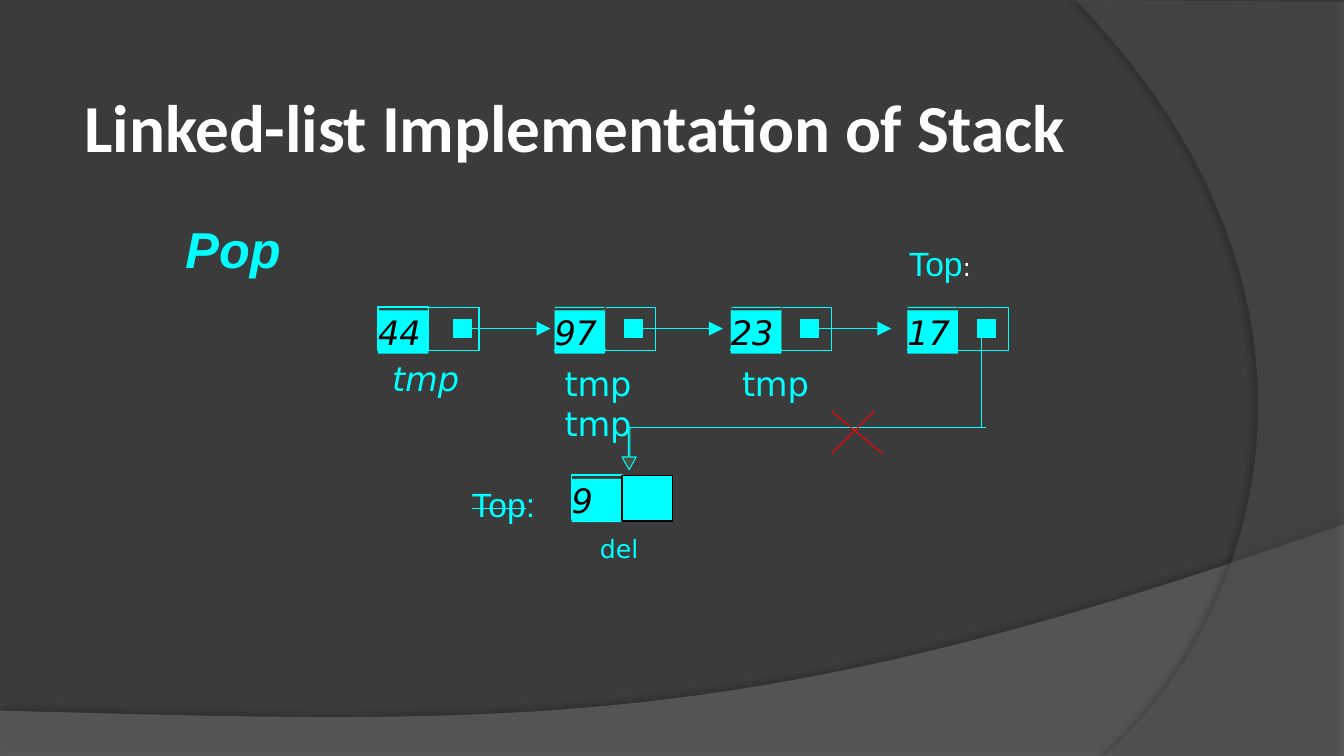
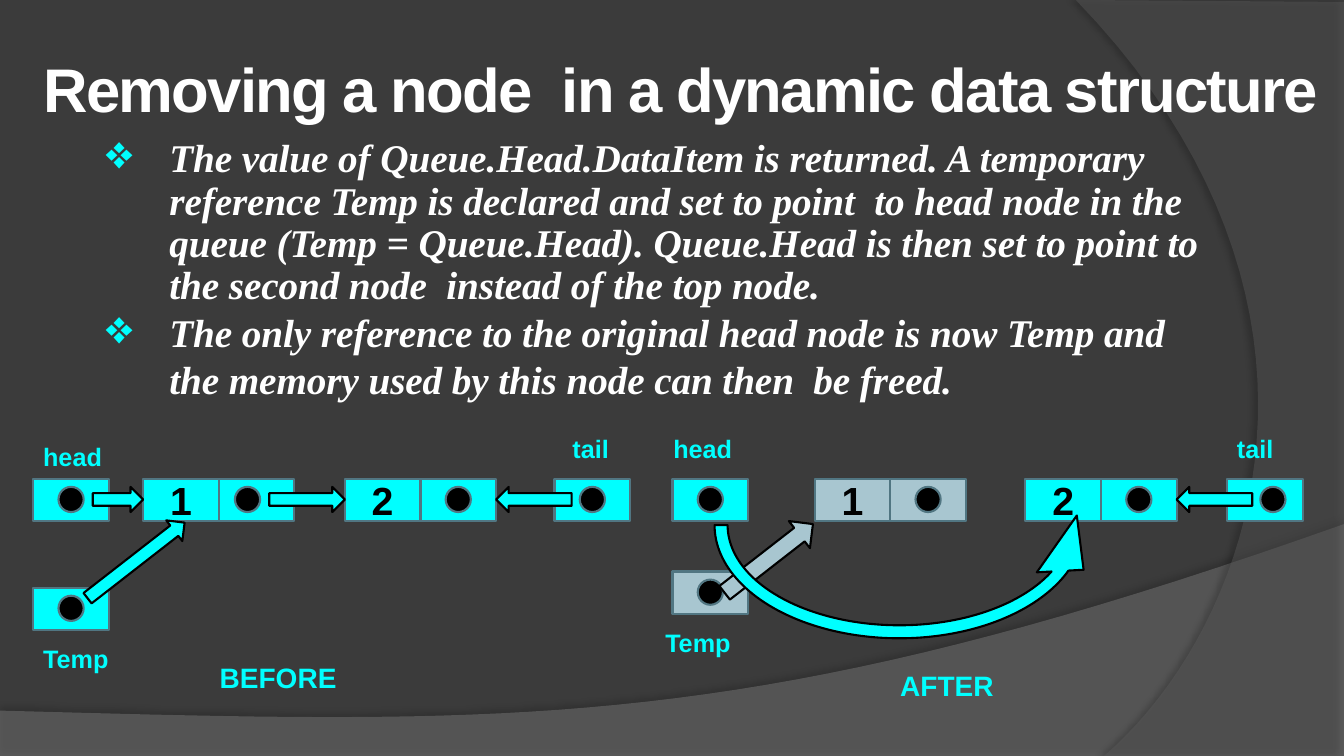
from pptx import Presentation
from pptx.dml.color import RGBColor
from pptx.enum.shapes import MSO_CONNECTOR, MSO_SHAPE as Preset
from pptx.enum.text import MSO_ANCHOR as Anchor, PP_ALIGN as Align
from pptx.oxml.ns import qn
from pptx.util import Inches, Pt
from lxml.etree import SubElement

COLORS = {
    "ground": "3B3B3B", "wave": "7F7F7F", "arc": "5E5E5E",
    "accent": "00FFFF", "freed": "A8C6D0", "edge": "517682",
    "dim": "495242", "ink": "000000", "white": "FFFFFF", "cut": "FF0000",
}
MONO, SANS, SERIF, HEADING = "DejaVu Sans", "Arial", "Times New Roman", "Calibri"
CELL_W, CELL_H, DOT = 0.75, 0.42, 0.25


def rgb(name):
    return RGBColor.from_string(COLORS[name])


def inches(*lengths):
    return [Inches(length) for length in lengths]


def paint(shape, fill=None, line=None, width=0.75):
    shape.shadow.inherit = False
    if fill:
        shape.fill.solid()
        shape.fill.fore_color.rgb = rgb(fill)
    else:
        shape.fill.background()
    if line:
        shape.line.color.rgb = rgb(line)
        shape.line.width = Pt(width)
    else:
        shape.line.fill.background()
    return shape


def add_preset(slide, preset, box, fill=None, line=None, width=0.75):
    return paint(slide.shapes.add_shape(preset, *inches(*box)), fill, line, width)


def style(run, size, font, color, bold=False, italic=False, spacing=0):
    run.font.size, run.font.name = Pt(size), font
    run.font.bold, run.font.italic = bold, italic
    run.font.color.rgb = rgb(color)
    if spacing:
        run._r.get_or_add_rPr().set("spc", str(round(spacing * 100)))


def write(shape, text, size, font, color, align=Align.LEFT, anchor=Anchor.TOP,
          inset=None, **looks):
    frame = shape.text_frame
    frame.word_wrap = True
    frame.vertical_anchor = anchor
    if inset is not None:
        frame.margin_left = frame.margin_right = frame.margin_bottom = 0
        frame.margin_top = Inches(inset)
    frame.text = text
    first = frame.paragraphs[0]
    first.alignment = align
    style(first.runs[0], size, font, color, **looks)
    return first


def add_label(slide, box, text, size, font=SANS, color="accent", **looks):
    return write(slide.shapes.add_textbox(*inches(*box)), text, size, font, color, **looks)


def add_line(slide, start, end, color="accent", width=0.75, head=False):
    line = slide.shapes.add_connector(MSO_CONNECTOR.STRAIGHT, *inches(*start, *end))
    line.line.color.rgb = rgb(color)
    line.line.width = Pt(width)
    if head:
        SubElement(line.line._get_or_add_ln(), qn("a:tailEnd"), type="triangle", w="lg", len="lg")
    SubElement(line._element.spPr, qn("a:effectLst"))
    return line


# Shared background
def curve(p0, p1, p2, p3, steps=40):
    points = []
    for step in range(1, steps + 1):
        t = step / steps
        weights = ((1 - t) ** 3, 3 * t * (1 - t) ** 2, 3 * t * t * (1 - t), t ** 3)
        points.append(tuple(sum(w * p[axis] for w, p in zip(weights, (p0, p1, p2, p3)))
                            for axis in (0, 1)))
    return points


def add_band(slide, outline, fill, opacity, shade, distance, direction):
    corners = [inches(*point) for point in outline]
    builder = slide.shapes.build_freeform(*corners[0])
    builder.add_line_segments(corners[1:], close=True)
    band = paint(builder.convert_to_shape(), fill)
    solid = band._element.spPr.find(qn("a:solidFill"))
    SubElement(solid[0], qn("a:alpha"), val=str(opacity * 1000))
    shadow = SubElement(band._element.spPr.find(qn("a:effectLst")), qn("a:outerShdw"),
                        blurRad=str(Pt(4)), dist=str(Pt(distance)),
                        dir=str(direction * 60000), algn="ctr", rotWithShape="0")
    tint = SubElement(shadow, qn("a:srgbClr"), val=COLORS["ink"])
    SubElement(tint, qn("a:alpha"), val=str(shade * 1000))


def new_slide(prs):
    slide = prs.slides.add_slide(prs.slide_layouts[6])
    slide.background.fill.solid()
    slide.background.fill.fore_color.rgb = rgb("ground")
    wave = [(0, 7.05), (0, 7.5), (13.33, 7.5), (13.33, 5.2)]
    wave += curve(wave[-1], (7.45, 7.29), (5.21, 7.19), wave[0])
    add_band(slide, wave, "wave", 45, 35, 3.5, 270)
    arc = [(13.33, 0.02), (13.33, 7.5), (10.95, 7.5)]
    arc += curve(arc[-1], (12.46, 6.19), (13.57, 3), (10.67, 0))
    add_band(slide, arc, "arc", 40, 45, 4, 180)
    return slide


def add_title(slide, box, text, size, font, **looks):
    return add_label(slide, box, text, size, font, "white", anchor=Anchor.MIDDLE,
                     inset=0, bold=True, **looks)


# Stack slide
def list_node(slide, left, top, value, rim):
    for column in (0, 1):
        add_preset(slide, Preset.RECTANGLE, (left + column * 0.5, top, 0.5, 0.43),
                   line="accent", width=0.96)
    add_preset(slide, Preset.RECTANGLE, (left, top - 0.01, 0.5, 0.42), line=rim, width=0.96)
    cell = add_preset(slide, Preset.RECTANGLE, (left, top + 0.03, 0.5, 0.43), "accent")
    write(cell, value, 24, MONO, "ink", inset=0.01, italic=True, spacing=-0.1)


def linked_nodes(slide, left, top):
    nodes = [("44", 0.75, 1.71, "accent"), ("97", 0.69, 1.67, "dim"),
             ("23", 0.69, 1.59, "dim"), ("17", 0.69, None, "dim")]
    for index, (value, pointer_x, arrow_end, rim) in enumerate(nodes):
        x = left + index * 1.75
        list_node(slide, x, top, value, rim)
        pointer = add_preset(slide, Preset.RECTANGLE, (x + pointer_x, top + 0.12, 0.18, 0.18),
                             "accent", "accent")
        if arrow_end:
            y = top + 0.21
            arrow = add_line(slide, (x + pointer_x + 0.18, y), (x + arrow_end, y),
                             width=1.25, head=True)
            arrow.begin_connect(pointer, 3)


def removed_node(slide, left, top):
    list_node(slide, left, top, "9", "accent")
    add_preset(slide, Preset.RECTANGLE, (left + 0.5, top, 0.5, 0.45), "accent", "ink", 0.96)
    add_label(slide, (left + 0.28, top + 0.57, 0.65, 0.35), "del", 18, MONO, inset=0)

    # Link from the last node, crossed out
    add_line(slide, (left + 4.06, top - 1.41), (left + 4.06, top - 0.48))
    add_line(slide, (left + 4.11, top - 0.48), (left + 0.57, top - 0.48))
    drop = add_preset(slide, Preset.DOWN_ARROW, (left + 0.5, top - 0.48, 0.14, 0.42),
                      "dim", "accent")
    drop.adjustments[0], drop.adjustments[1] = 0.1, 0.9
    add_line(slide, (8.25, 4.08), (8.75, 4.5), "cut")
    add_line(slide, (8.25, 4.5), (8.67, 4.08), "cut")


def stack_slide(prs):
    slide = new_slide(prs)
    add_title(slide, (0.84, 0.84, 12, 0.82), "Linked-list Implementation of Stack", 48,
              HEADING, spacing=-0.1)
    add_label(slide, (1.84, 2.16, 1.2, 0.6), "Pop", 36, inset=0, bold=True, italic=True)
    linked_nodes(slide, 3.75, 3.05)
    removed_node(slide, 5.67, 4.72)
    for x, y, slanted in [(3.89, 3.54, True), (5.6, 3.59, False), (7.36, 3.59, False),
                          (5.6, 3.99, False)]:
        add_label(slide, (x, y, 0.8, 0.43), "tmp", 24, MONO, inset=0.01, italic=slanted,
                  spacing=-0.1)

    # Old and new top
    old_top = add_label(slide, (4.58, 4.75, 1, 0.5), "Top", 24)
    old_top.runs[0]._r.get_or_add_rPr().set("strike", "sngStrike")
    colon = old_top.add_run()
    colon.text = ":"
    style(colon, 24, SANS, "accent")
    new_top = add_label(slide, (8.75, 2.42, 0.98, 0.45), "Top", 24, align=Align.RIGHT,
                        spacing=-0.1)
    new_top.line_spacing = Pt(24.5)
    colon = new_top.add_run()
    colon.text = ":"
    style(colon, 18, MONO, "white")


# Queue slide
def removal_steps(slide, box):
    steps = [
        ("The value of Queue.Head.DataItem is returned. A temporary reference Temp is "
         "declared and set to point  to head node in the queue (Temp = Queue.Head). "
         "Queue.Head is then set to point to the second node  instead of the top node.", True),
        ("The only reference to the original head node is now Temp and", True),
        ("the memory used by this node can then  be freed.", False),
    ]
    frame = slide.shapes.add_textbox(*inches(*box)).text_frame
    frame.word_wrap = True
    frame.margin_left = frame.margin_right = frame.margin_bottom = 0
    frame.margin_top = Inches(0.05)
    for index, (text, bulleted) in enumerate(steps):
        step = frame.add_paragraph() if index else frame.paragraphs[0]
        step.text = text
        step.line_spacing = Pt(19.4) if index else 0.9
        if index:
            step.space_before = Pt(14.3)
        props = step._p.get_or_add_pPr()
        props.set("marL", str(Inches(0.68)))
        props.set("indent", str(Inches(-0.63) if bulleted else 0))
        if bulleted:
            tint = SubElement(props, qn("a:buClr"))
            SubElement(tint, qn("a:srgbClr"), val=COLORS["accent"])
            SubElement(props, qn("a:buSzPct"), val="120000")
            SubElement(props, qn("a:buChar"), char="❖")
        style(step.runs[0], 28, SERIF, "white", bold=True, italic=True, spacing=-0.05)


def add_cell(slide, left, top, fill="accent", digit=None, dot_x=0.25):
    cell = add_preset(slide, Preset.RECTANGLE, (left, top, CELL_W, CELL_H), fill, "edge", 1.5)
    if digit:
        write(cell, digit, 28, SANS, "ink", Align.CENTER, Anchor.MIDDLE, bold=True)
    else:
        add_preset(slide, Preset.OVAL, (left + dot_x, top + 0.08, DOT, DOT), "ink", "edge", 1.5)


def add_node(slide, left, top, digit, fill="accent", dot_x=0.25):
    add_cell(slide, left, top, fill, digit)
    add_cell(slide, left + CELL_W, top, fill, dot_x=dot_x)


def block_arrow(slide, box, turn=0, fill="accent"):
    arrow = add_preset(slide, Preset.RIGHT_ARROW, box, fill, "ink", 1.5)
    arrow.rotation = turn


def captions(slide, left, top, entries):
    for text, x, y, size in entries:
        add_label(slide, (left + x, top + y, 1.1 if size < 20 else 1.58, 0.42), text, size,
                  bold=True)


def before_panel(slide, left, top):
    for x, y in [(0, 1.08), (0, 0), (5.17, 0)]:
        add_cell(slide, left + x, top + y)
    add_node(slide, left + 1.09, top, "1", dot_x=0.16)
    add_node(slide, left + 3.09, top, "2")
    for x, y, w, h, turn in [(0.59, 0.08, 0.5, 0.25, 0), (4.59, 0.08, 0.75, 0.25, 180),
                             (0.41, 0.68, 1.22, 0.26, 322.1), (2.34, 0.08, 0.75, 0.25, 0)]:
        block_arrow(slide, (left + x, top + y, w, h), turn)
    captions(slide, left, top, [("tail", 5.25, -0.5, 18), ("head", 0, -0.42, 18),
                                ("Temp", 0, 1.58, 18), ("BEFORE", 1.75, 1.75, 20)])


def after_panel(slide, left, top):
    add_cell(slide, left, top + 0.92, "freed")
    add_cell(slide, left, top)
    add_node(slide, left + 1.41, top, "1", "freed")
    add_node(slide, left + 3.5, top, "2")
    add_cell(slide, left + 5.5, top, dot_x=0.33)
    block_arrow(slide, (left + 0.4, top + 0.62, 1.11, 0.34), 322.1, "freed")

    # Head now skips to the second node
    skip = add_preset(slide, Preset.CIRCULAR_ARROW, (left + 0.25, top - 0.83, 4, 2.58),
                      "accent", "ink", 1.5)
    skip._element.spPr.find(qn("a:xfrm")).set("flipV", "1")
    for index, value in enumerate((0.05, 11.42, 206.45, 108, 0.09)):
        skip.adjustments[index] = value
    block_arrow(slide, (left + 5, top + 0.08, 0.75, 0.25), 180)
    captions(slide, left, top, [("head", -0.09, -0.5, 18), ("tail", 5.5, -0.5, 18),
                                ("Temp", -0.17, 1.42, 18), ("AFTER", 2.16, 1.83, 20)])


def queue_slide(prs):
    slide = new_slide(prs)
    title = add_title(slide, (0.23, 0.75, 13.05, 0.49),
                      "Removing a node  in a dynamic data structure", 44, SANS,
                      align=Align.CENTER, spacing=-1.25)
    title.line_spacing = Pt(34.5)
    removal_steps(slide, (1, 1.33, 11.35, 2.67))
    before_panel(slide, 0.33, 4.75)
    after_panel(slide, 6.67, 4.75)


def main():
    prs = Presentation()
    prs.slide_width, prs.slide_height = inches(13.33, 7.5)
    stack_slide(prs)
    queue_slide(prs)
    prs.save("out.pptx")


if __name__ == "__main__":
    main()
